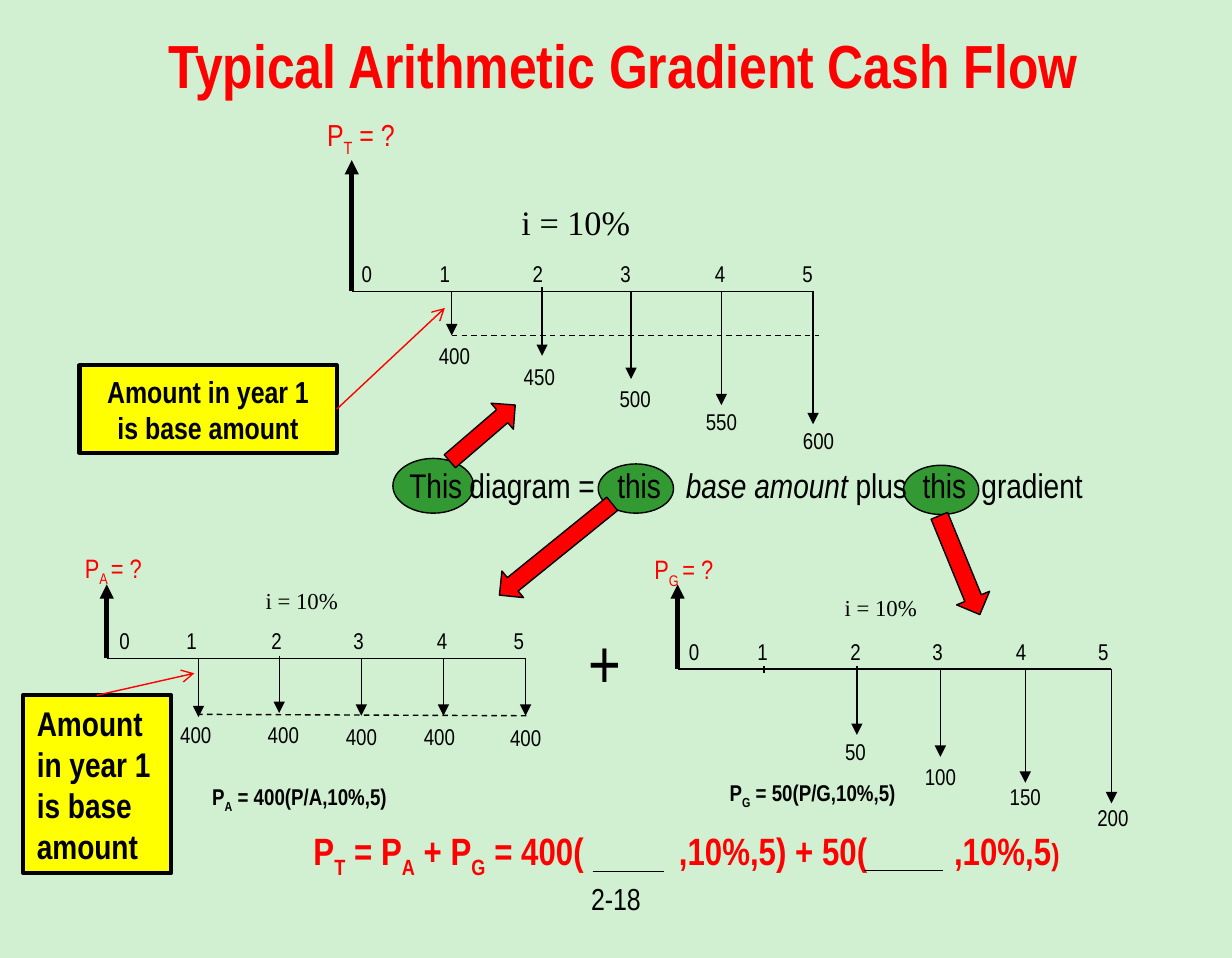
from lxml.etree import SubElement
from pptx import Presentation
from pptx.dml.color import RGBColor
from pptx.enum.dml import MSO_LINE
from pptx.enum.shapes import MSO_CONNECTOR, MSO_SHAPE
from pptx.enum.text import PP_ALIGN
from pptx.oxml.ns import qn
from pptx.util import Pt

PX = 9144  # 100 px to the inch
COLORS = {name: RGBColor.from_string(value) for name, value in {
    "mint": "D1F0D1", "green": "339933", "red": "FF0000",
    "yellow": "FFFF00", "black": "000000"}.items()}
NARROW, SERIF = "Arial Narrow", "Times New Roman"

prs = Presentation()
prs.slide_width, prs.slide_height = 900 * PX, 700 * PX
s = prs.slides.add_slide(prs.slide_layouts[6])
s.background.fill.solid()
s.background.fill.fore_color.rgb = COLORS["mint"]


def label(x, y, w, text, size, color="black", bold=False, font=NARROW, center=False):
    """Add one line of text; parts between underscores become subscripts."""
    tf = s.shapes.add_textbox(x * PX, y * PX, w * PX, round(size * 1.7) * PX).text_frame
    tf.word_wrap = True
    tf.margin_left = tf.margin_right = tf.margin_top = tf.margin_bottom = 0
    p = tf.paragraphs[0]
    p.alignment = PP_ALIGN.CENTER if center else PP_ALIGN.LEFT
    p.font.name, p.font.size, p.font.bold = font, Pt(size), bold
    p.font.color.rgb = COLORS[color]
    for i, part in enumerate(text.split("_")):
        r = p.add_run()
        r.text = part
        if i % 2:
            r._r.get_or_add_rPr().set("baseline", "-25000")
    return p


def line(x1, y1, x2, y2, width=0.75, color="black", head=None, dashed=False):
    sp = s.shapes.add_connector(MSO_CONNECTOR.STRAIGHT, x1 * PX, y1 * PX, x2 * PX, y2 * PX)
    sp.line.width = Pt(width)
    sp.line.color.rgb = COLORS[color]
    if dashed:
        sp.line.dash_style = MSO_LINE.DASH
    if head:
        SubElement(sp.line._get_or_add_ln(), qn("a:tailEnd"), type=head)
    SubElement(sp._element.spPr, qn("a:effectLst"))


# Green ovals, red block arrows and yellow notes
shapes = [
    (MSO_SHAPE.OVAL, 660, 340, 55, 36, 0, "green", 0.75, None),
    (MSO_SHAPE.OVAL, 437, 339, 55, 36, 0, "green", 0.75, None),
    (MSO_SHAPE.OVAL, 287, 335, 59, 40, 0, "green", 0.75, None),
    (MSO_SHAPE.RIGHT_ARROW, 321, 304, 63, 25, 319.3, "red", 0.75, None),
    (MSO_SHAPE.RIGHT_ARROW, 353, 389, 106, 25, 141, "red", 0.75, None),
    (MSO_SHAPE.RIGHT_ARROW, 662, 400, 78, 26, 67.7, "red", 0.75, None),
    (MSO_SHAPE.RECTANGLE, 17, 508, 108, 130, 0, "yellow", 2.25,
     (18, PP_ALIGN.LEFT, ["Amount in year 1 is base amount"])),
    (MSO_SHAPE.RECTANGLE, 58, 267, 188, 64, 0, "yellow", 2.25,
     (16, PP_ALIGN.CENTER, ["Amount in year 1", "is base amount"])),
]
for kind, x, y, w, h, angle, fill, border, note in shapes:
    sp = s.shapes.add_shape(kind, x * PX, y * PX, w * PX, h * PX)
    sp.rotation = angle
    sp.shadow.inherit = False
    sp.fill.solid()
    sp.fill.fore_color.rgb = COLORS[fill]
    sp.line.color.rgb = COLORS["black"]
    sp.line.width = Pt(border)
    if note:
        size, align, rows = note
        tf = sp.text_frame
        tf.word_wrap = True
        tf.margin_left = tf.margin_right = 10 * PX
        tf.margin_top = tf.margin_bottom = 5 * PX
        tf.text = "\n".join(rows)
        for p in tf.paragraphs:
            p.alignment = align
            p.font.name, p.font.size, p.font.bold = NARROW, Pt(size), True
            p.font.color.rgb = COLORS["black"]

label(73, 20, 765, "Typical Arithmetic Gradient Cash Flow", 32, "red", True, center=True)
label(390, 643, 120, "2-18", 16, center=True)

# Cash flow diagrams: axis, present worth arrow, interest rate, years, flows.
# A flow is (arrow x, arrow tip y, amount, amount centre x, amount top).
diagrams = [
    dict(x0=257, x1=594, axis=213, top=117, worth=("P_T_ = ?", 239, 85, 16),
         rate=(381, 147, 18), years=(268, 325, 393, 457, 526, 590),
         flows=[(330, 245, 400, 332, 250), (396, 260, 450, 394, 265),
                (461, 277, 500, 464, 281), (527, 296, 550, 527, 298),
                (594, 310, 600, 598, 312)]),
    dict(x0=78, x1=384, axis=481, top=427, worth=("P_A _= ?", 62, 403, 14),
         rate=(194, 429, 12), years=(91, 140, 202, 262, 323, 379),
         flows=[(145, 524, 400, 143, 527), (204, 521, 400, 207, 527),
                (264, 523, 400, 264, 528), (324, 523, 400, 321, 528),
                (384, 523, 400, 384, 529)]),
    dict(x0=495, x1=812, axis=489, top=427, worth=("P_G _= ?", 478, 404, 14),
         rate=(617, 434, 12), years=(507, 557, 625, 685, 746, 806),
         flows=[(626, 537, 50, 625, 539), (687, 553, 100, 687, 557),
                (749, 572, 150, 749, 572), (812, 587, 200, 813, 587)]),
]
for d in diagrams:
    line(d["x0"], d["axis"], d["x0"], d["top"], 2.5, head="triangle")
    line(d["x0"], d["axis"], d["x1"], d["axis"])
    worth, x, y, size = d["worth"]
    label(x, y, 70, worth, size, "red")
    x, y, size = d["rate"]
    label(x, y, 100, "i = 10%", size, font=SERIF)
    for year, x in enumerate(d["years"]):
        label(x - 10, d["axis"] - 23, 20, str(year), 12, center=True)
    for x, tip, amount, middle, y in d["flows"]:
        line(x, d["axis"], x, tip, head="triangle")
        label(middle - 20, y, 40, str(amount), 12, center=True)

line(558, 487, 558, 492)
for x, y in [(396, 210), (204, 479), (626, 487)]:
    line(x, y, x, y + 3)
line(330, 245, 598, 245, dashed=True)
line(144, 522, 385, 523, dashed=True)
label(430, 453, 30, "+", 36)

# Sentence that links the diagrams
for x, w, text in [(299, 45, "This"), (343, 100, "diagram ="), (451, 40, "this"),
                   (501, 125, "base amount"), (625, 45, "plus"),
                   (674, 40, "this"), (717, 90, "gradient")]:
    p = label(x, 339, w, text, 18)
    p.font.italic = text == "base amount"

# Equations and the blanks to fill in
label(155, 572, 140, "P_A_ = 400(P/A,10%,5)", 12, bold=True)
label(533, 569, 140, "P_G_ = 50(P/G,10%,5)", 12, bold=True)
label(229, 605, 220, "P_T_ = P_A_ + P_G_ = 400(", 20, "red", True)
label(496, 605, 160, ",10%,5) + 50(", 20, "red", True)
r = label(697, 605, 100, ",10%,5", 20, "red", True).add_run()
r.text = ")"
r.font.size = Pt(16)
line(433, 637, 485, 637)
line(631, 636, 689, 636)

# Pointers from the notes to year 1
line(71, 508, 142, 492, color="red", head="arrow")
line(246, 299, 325, 225, color="red", head="arrow")

prs.save("out.pptx")
